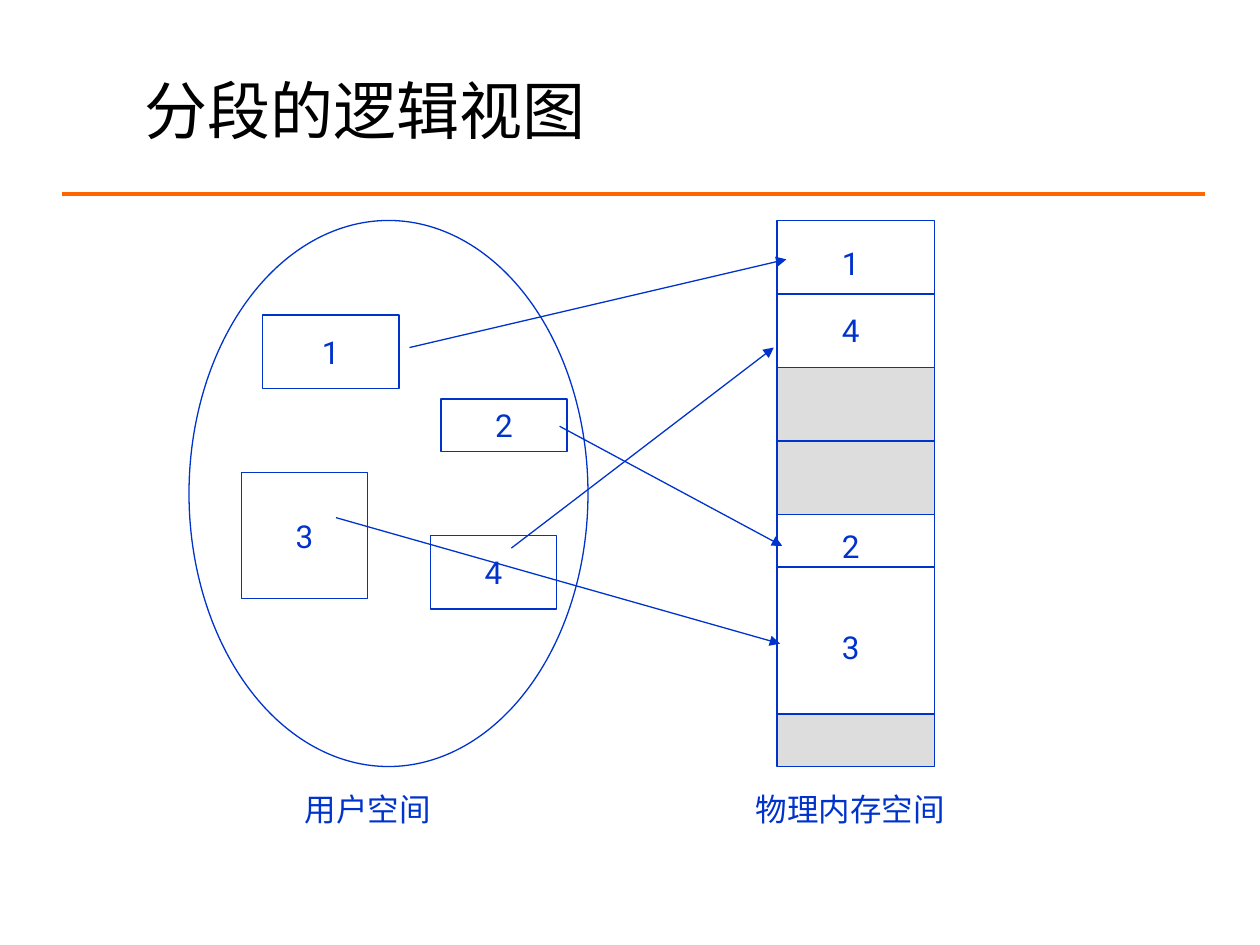
"""Build a slide that maps program segments to physical memory."""
from itertools import accumulate
from lxml.etree import SubElement
from pptx import Presentation
from pptx.dml.color import RGBColor as RGB
from pptx.enum.shapes import MSO_CONNECTOR as Conn, MSO_SHAPE as Form
from pptx.enum.text import MSO_ANCHOR as Anchor, MSO_AUTO_SIZE as Auto, PP_ALIGN as Align
from pptx.oxml.ns import qn
from pptx.util import Inches, Pt

HUES = {"ink": "0033CC", "rule": "FF6600", "head": "000000", "used": "FFFFFF", "free": "DDDDDD"}
CELL = Inches(1) / 12
BODY = {"name": "Roboto", "size": Pt(18)}
HEAD = {"name": "Arial", "size": Pt(36)}
FIT = {"word_wrap": False, "vertical_anchor": Anchor.MIDDLE}
GROW = {**FIT, "auto_size": Auto.SHAPE_TO_FIT_TEXT}
FIXED = {"word_wrap": True, "vertical_anchor": Anchor.TOP, "auto_size": Auto.NONE}


def grid(*units):
    return [round(unit * CELL) for unit in units]


def hue(name):
    return RGB.from_string(HUES[name])


def style(item, values):
    for key, value in values.items():
        setattr(item, key, value)


class Board:
    """Draw styled parts on a slide with a grid of 120 columns and 90 rows."""

    def __init__(self, deck):
        style(deck, dict(zip(("slide_width", "slide_height"), grid(120, 90))))
        self.slide = deck.slides.add_slide(deck.slide_layouts[5])
        self.shapes = self.slide.shapes

    def fill_text(self, shape, text, frame, font, align=Align.CENTER, color="ink"):
        style(shape.text_frame, frame)
        para = shape.text_frame.paragraphs[0]
        para.alignment = align
        run = para.add_run()
        run.text = text
        style(run.font, font)
        run.font.color.rgb = hue(color)

    def title(self, text, *box):
        shape = self.shapes.title
        style(shape, dict(zip(("left", "top", "width", "height"), grid(*box))))
        self.fill_text(shape, text, FIXED, HEAD, Align.LEFT, "head")

    def form(self, kind, box, text="", fill="used"):
        shape = self.shapes.add_shape(kind, *grid(*box))
        shape.shadow.inherit = False
        shape.fill.solid()
        shape.fill.fore_color.rgb = hue(fill)
        shape.line.color.rgb = hue("ink")
        shape.line.width = Pt(0.75)
        if text:
            self.fill_text(shape, text, FIT, BODY)

    def label(self, text, mid, top, width):
        shape = self.shapes.add_textbox(*grid(mid - width / 2, top, width, 4.8))
        self.fill_text(shape, text, GROW, BODY)

    def link(self, *ends, color="ink", width=0.75, arrow=False):
        line = self.shapes.add_connector(Conn.STRAIGHT, *grid(*ends))
        line.line.color.rgb = hue(color)
        line.line.width = Pt(width)
        props = line._element.spPr
        if arrow:
            SubElement(props.find(qn("a:ln")), qn("a:tailEnd"), type="triangle")
        SubElement(props, qn("a:effectLst"))


def main():
    deck = Presentation()
    board = Board(deck)
    board.link(5.9, 18.5, 114.8, 18.5, color="rule", width=2.25)
    board.title("分段的逻辑视图", 12.6, 6.24, 88.7, 3.24)

    board.form(Form.OVAL, (18, 21, 38, 52))
    parts = {"1": (25, 30, 13, 7), "3": (23, 45, 12, 12),
             "2": (42, 38, 12, 5), "4": (41, 51, 12, 7)}
    for text, box in parts.items():
        board.form(Form.RECTANGLE, box, text)

    left, wide = 74, 15
    blocks = [(14, "used", 7), (14, "free", 7), (19, "used", 5), (5, "free", 0)]
    tops = accumulate((block[0] for block in blocks), initial=21)
    for top, (high, fill, split) in zip(tops, blocks):
        board.form(Form.RECTANGLE, (left, top, wide, high), fill=fill)
        if split:
            board.link(left, top + split, left + wide, top + split)
    for text, top in {"1": 22.6, "4": 29, "2": 49.6, "3": 59.2}.items():
        board.label(text, 81, top, 4)

    board.label("用户空间", 35, 74.6, 15.2)
    board.label("物理内存空间", 81, 74.6, 20.4)

    for ends in ((39, 33.1, 74.9, 24.7), (53.3, 40.6, 74.5, 52),
                 (32, 49.3, 74.3, 61.3), (48.7, 52.2, 73.7, 33.1)):
        board.link(*ends, arrow=True)
    deck.save("out.pptx")


if __name__ == "__main__":
    main()
